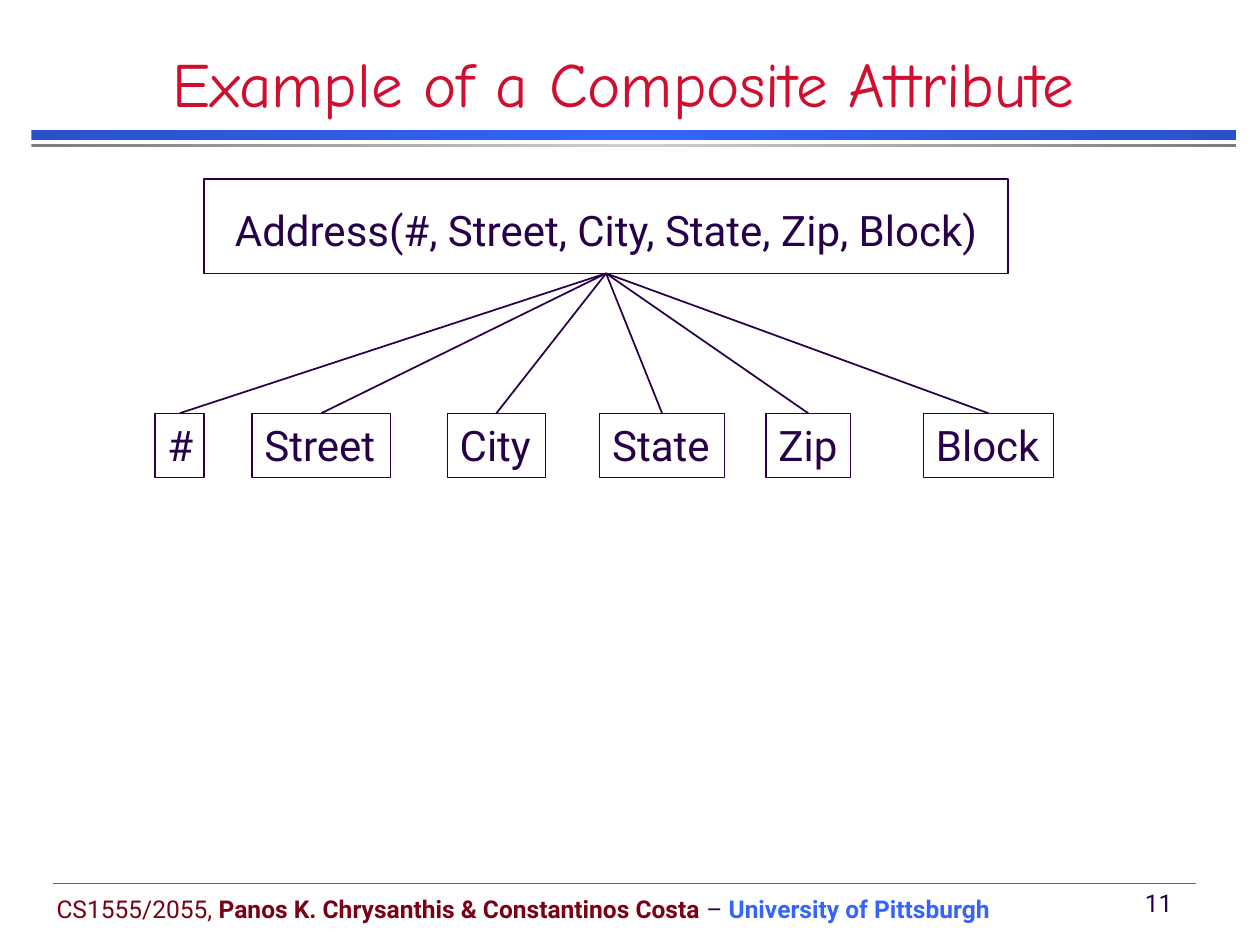
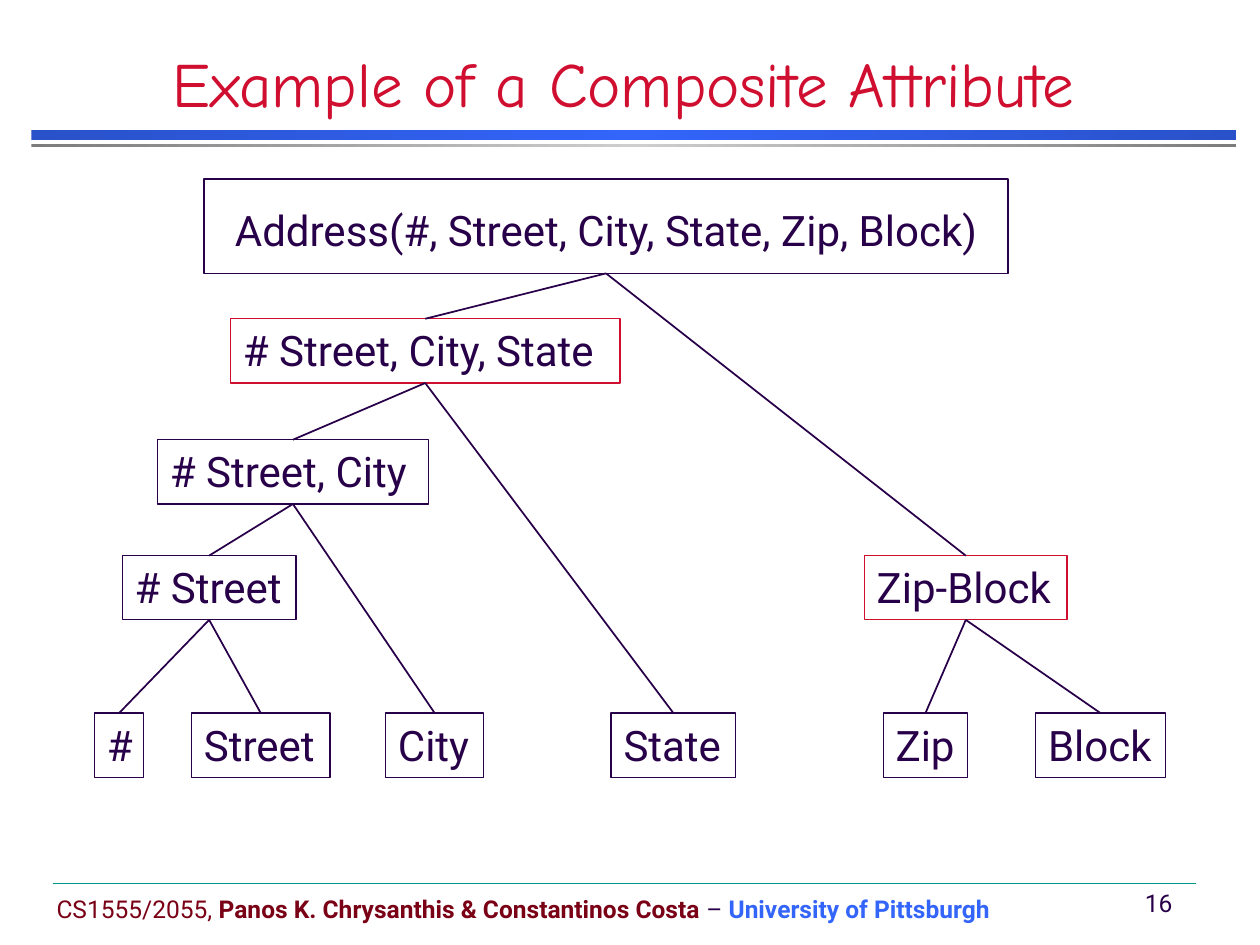
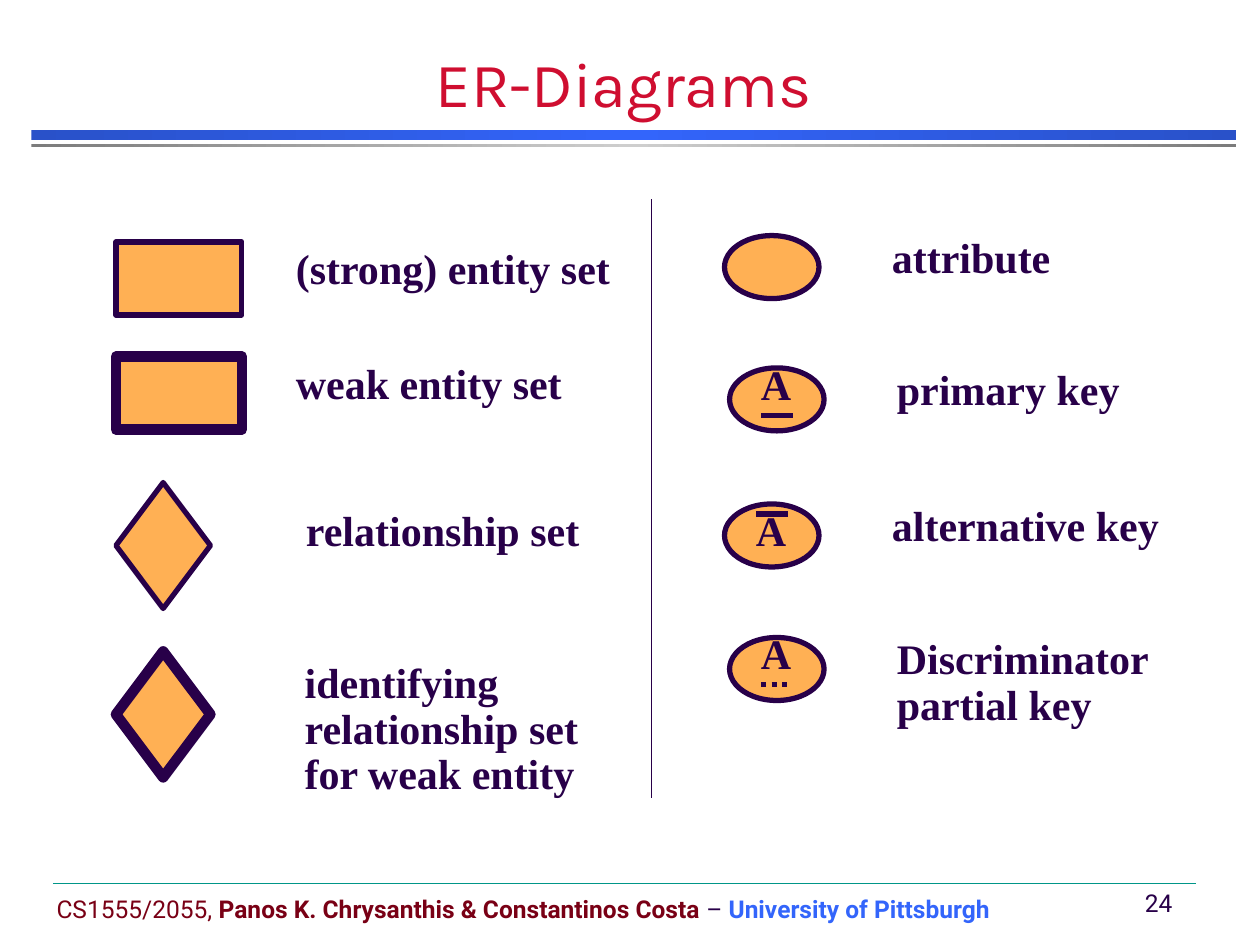
from copy import deepcopy
from lxml.etree import SubElement
from pptx import Presentation
from pptx.dml.color import RGBColor
from pptx.enum.dml import MSO_LINE as Dash
from pptx.enum.shapes import MSO_CONNECTOR as Link, MSO_SHAPE as Kind
from pptx.enum.text import MSO_ANCHOR as Anchor, MSO_AUTO_SIZE as Auto, PP_ALIGN as Align
from pptx.oxml.ns import qn
from pptx.util import Inches, Pt

INK = {"ink": "280049", "red": "CF0E30", "wine": "790015", "blue": "3365FB",
       "deep": "2951C9", "gray": "7C7C7C", "pale": "CECECE", "teal": "009688",
       "gold": "FFB054", "white": "FFFFFF"}
SANS, SERIF = "Roboto", "Times New Roman"

BANDS = [(1.03, 0.08, ("deep", "blue", "deep")), (1.14, 0.03, ("gray", "pale", "gray"))]
FOOT = [("CS1555/2055, ", "wine", False),
        ("Panos K. Chrysanthis & Constantinos Costa", "wine", True),
        (" – ", "ink", False),
        ("University of Pittsburgh", "blue", True)]

ROOT = "Address(#, Street, City, State, Zip, Block)"
WIDTHS = {"#": 0.39, "Street": 1.1, "City": 0.78, "State": 0.99, "Zip": 0.67,
          "Block": 1.03, "# Street": 1.38, "Zip-Block": 1.61,
          "# Street, City": 2.15, "# Street, City, State": 3.09}
NODE_H = 0.51
TREES = [
    (11, [3.28], [
        ("#", 1.23, 0, "ink", ROOT), ("Street", 2, 0, "ink", ROOT),
        ("City", 3.55, 0, "ink", ROOT), ("State", 4.76, 0, "ink", ROOT),
        ("Zip", 6.08, 0, "ink", ROOT), ("Block", 7.33, 0, "ink", ROOT)]),
    (16, [2.53, 3.49, 4.41, 5.66], [
        ("# Street, City, State", 1.83, 0, "red", ROOT),
        ("# Street, City", 1.25, 1, "ink", "# Street, City, State"),
        ("# Street", 0.97, 2, "ink", "# Street, City"),
        ("Zip-Block", 6.86, 2, "red", ROOT),
        ("#", 0.75, 3, "ink", "# Street"), ("Street", 1.52, 3, "ink", "# Street"),
        ("City", 3.06, 3, "ink", "# Street, City"),
        ("State", 4.85, 3, "ink", "# Street, City, State"),
        ("Zip", 7.01, 3, "ink", "Zip-Block"), ("Block", 8.22, 3, "ink", "Zip-Block")]),
]

SETS = [
    (Kind.RECTANGLE, 1.92, 1, 0.58, 3, "(strong) entity set", (2.25, 1.92, 2.7, 0.5)),
    (Kind.RECTANGLE, 2.83, 1, 0.58, 6, "weak entity set", (2.25, 2.83, 2.31, 0.5)),
    (Kind.DIAMOND, 3.83, 0.75, 1, 3, "relationship set", (2.33, 4, 2.38, 0.5)),
    (Kind.DIAMOND, 5.17, 0.75, 1, 6, "identifying\vrelationship set\vfor weak entity",
     (2.32, 5.21, 2.46, 1.3)),
]
KEYS = [
    (5.75, 1.87, "attribute", 1.46, 0.5, None),
    (5.79, 2.92, "primary key", 1.97, 0.5, (-0.08, 0.38, None)),
    (5.75, 4, "alternative key", 2.32, 0.5, (0, 0.08, None)),
    (5.79, 5.06, "Discriminator\vpartial key", 2.2, 0.9, (-0.08, 0.37, Dash.ROUND_DOT)),
]


def tint(name):
    return RGBColor.from_string(INK[name])


def style(run, size, face, ink="ink", bold=False):
    font = run.font
    font.size, font.name, font.bold = Pt(size), face, bold
    font.color.rgb = tint(ink)


def write(shape, text, size, face, ink="ink", bold=False, align=Align.LEFT,
          anchor=Anchor.TOP):
    frame = shape.text_frame
    frame.text = text
    frame.word_wrap, frame.auto_size = True, Auto.NONE
    frame.vertical_anchor = anchor
    para = frame.paragraphs[0]
    para.alignment, para.space_before = align, Pt(0)
    for run in para.runs:
        style(run, size, face, ink, bold)
    return frame


def move(shape, at):
    shape.left, shape.top, shape.width, shape.height = map(Inches, at)


def draw(slide, kind, at, fill=None, line=None, width=1):
    shape = slide.shapes.add_shape(kind, *map(Inches, at))
    shape.shadow.inherit = False
    if fill:
        shape.fill.solid()
        shape.fill.fore_color.rgb = tint(fill)
    else:
        shape.fill.background()
    if line:
        shape.line.color.rgb, shape.line.width = tint(line), Pt(width)
    else:
        shape.line.fill.background()
    return shape


def rule(slide, start, end, ink="ink", width=1):
    line = slide.shapes.add_connector(Link.STRAIGHT, *map(Inches, start + end))
    line.line.color.rgb, line.line.width = tint(ink), Pt(width)
    SubElement(line._element.spPr, qn("a:effectLst"))
    return line


def band(slide, top, high, inks):
    bar = draw(slide, Kind.RECTANGLE, (0.25, top, 9.56, high))
    bar.fill.gradient()
    bar.fill.gradient_angle = 0
    stops = bar._element.spPr.find(".//" + qn("a:gsLst"))
    stops.append(deepcopy(stops[0]))
    for i, (stop, ink) in enumerate(zip(bar.fill.gradient_stops, inks)):
        stop.position, stop.color.rgb = i / 2, tint(ink)


def start(deck, layout, title, face, page):
    slide = deck.slides.add_slide(deck.slide_layouts[layout])
    for item in BANDS:
        band(slide, *item)
    foot = slide.shapes.add_textbox(*map(Inches, (0.35, 7.05, 8.11, 0.33)))
    frame = write(foot, "", 14, SANS, anchor=Anchor.MIDDLE)
    for text, ink, bold in FOOT:
        run = frame.paragraphs[0].add_run()
        run.text = text
        style(run, 14, SANS, ink, bold)
    num = slide.shapes.add_textbox(*map(Inches, (8.95, 7, 0.49, 0.33)))
    write(num, str(page), 14, SANS, align=Align.CENTER,
          anchor=Anchor.MIDDLE).word_wrap = False
    rule(slide, (0.42, 7.01), (9.49, 7.01), "teal", 0.25)
    move(slide.shapes.title, (0, 0.42, 9.9, 0.58))
    write(slide.shapes.title, title, 36, face, "red", align=Align.CENTER,
          anchor=Anchor.BOTTOM)
    return slide


def tree(deck, page, rows, nodes):
    slide = start(deck, 1, "Example of a Composite Attribute", "Comic Neue", page)
    root = slide.placeholders[1]
    move(root, (1.62, 1.42, 6.38, 0.75))
    root.line.color.rgb, root.line.width = tint("ink"), Pt(1)
    frame = write(root, ROOT, 24, SANS, align=Align.CENTER)
    frame.margin_top = frame.margin_bottom = Inches(0.2)
    props = frame.paragraphs[0]._p.get_or_add_pPr()
    props.set("marL", "0")
    props.set("indent", "0")
    SubElement(props, qn("a:buNone"))
    boxes = {ROOT: root}
    for text, left, row, ink, above in nodes:
        at = (left, rows[row], WIDTHS[text], NODE_H)
        box = boxes[text] = draw(slide, Kind.RECTANGLE, at, line=ink, width=0.75)
        write(box, text, 24, SANS).margin_right = 0
        edge = rule(slide, (0, 0), (1, 1))
        edge.begin_connect(boxes[above], 2)
        edge.end_connect(box, 0)


def label(shape, text):
    frame = write(shape, text, 24, SERIF, bold=True)
    frame.margin_right = 0
    frame.paragraphs[0].line_spacing = 0.9


def legend(deck):
    slide = start(deck, 5, "ER-Diagrams", "Karla", 24)
    rule(slide, (5.17, 1.58), (5.17, 6.33))
    for kind, top, wide, high, width, text, at in SETS:
        draw(slide, kind, (0.92, top, wide, high), "gold", "ink", width)
        label(draw(slide, Kind.RECTANGLE, at, "white"), text)
    for left, top, text, wide, high, mark in KEYS:
        draw(slide, Kind.OVAL, (left, top, 0.75, 0.5), "gold", "ink", 3)
        at = (left + 1.23, top - 0.04, wide, high)
        label(draw(slide, Kind.RECTANGLE, at, "white"), text)
        if mark:
            rise, drop, dash = mark
            at = (left + 0.15, top + rise, 0.44, 0.5)
            label(slide.shapes.add_textbox(*map(Inches, at)), "A")
            y = top + drop
            line = rule(slide, (left + 0.25, y), (left + 0.5, y), width=3)
            if dash:
                line.line.dash_style = dash


def main():
    deck = Presentation()
    deck.slide_width, deck.slide_height = Inches(10), Inches(7.5)
    for item in TREES:
        tree(deck, *item)
    legend(deck)
    deck.save("out.pptx")


if __name__ == "__main__":
    main()
